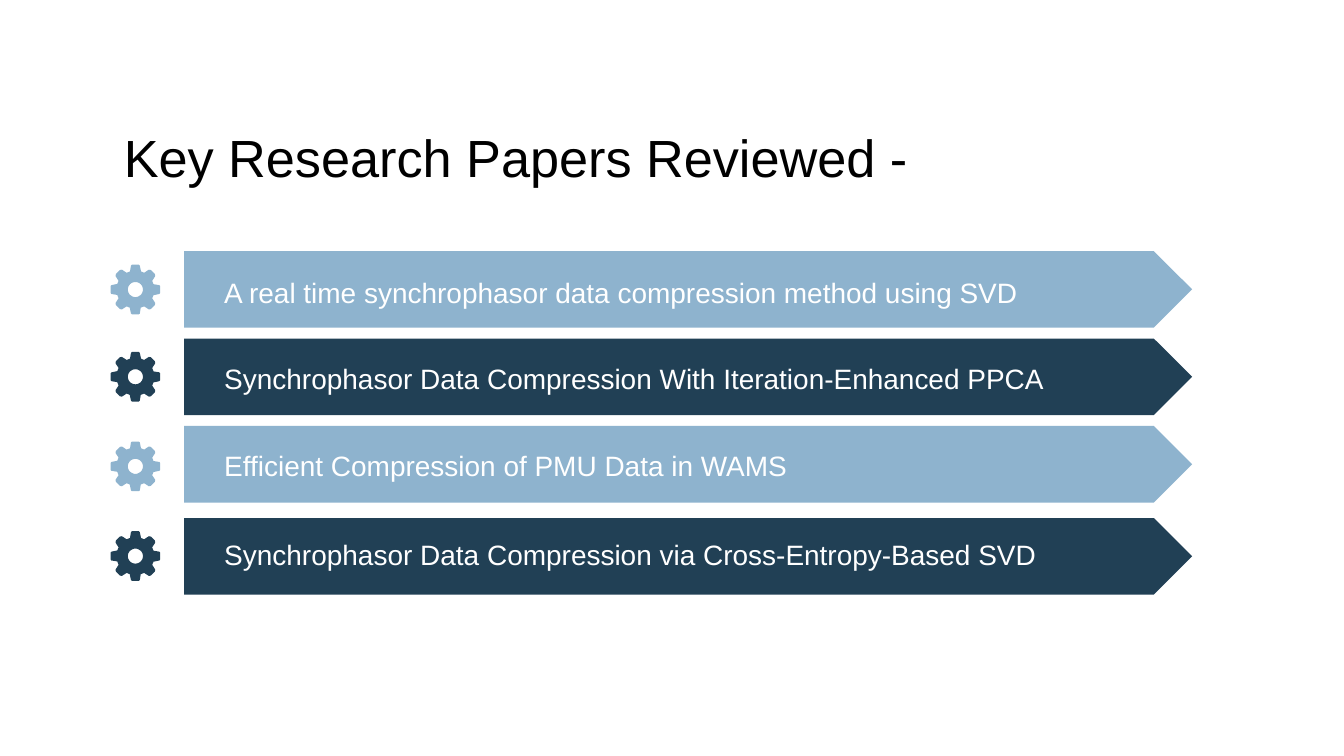
from dataclasses import dataclass
from math import cos, pi, sin

from pptx import Presentation
from pptx.dml.color import RGBColor
from pptx.enum.shapes import MSO_SHAPE
from pptx.enum.text import MSO_ANCHOR, PP_ALIGN
from pptx.util import Inches, Pt

WIDTH = 10  # inches
HEIGHT = WIDTH * 9 / 16


@dataclass(frozen=True)
class Theme:
    light: RGBColor = RGBColor(0x8E, 0xB3, 0xCE)
    dark: RGBColor = RGBColor(0x21, 0x40, 0x55)
    ink: RGBColor = RGBColor(0, 0, 0)
    paper: RGBColor = RGBColor(255, 255, 255)
    font: str = "Arial"
    title_size: int = 28
    paper_size: int = 15


@dataclass(frozen=True)
class Paper:
    """A reviewed paper; lengths are percentages of the slide height."""
    title: str
    bar_top: float
    text_top: float
    gear_middle: float
    color: RGBColor


THEME = Theme()
BAR_TOP, BAR_PITCH, BAR_HEIGHT = 33.21, 11.57, 10.13
PAPERS = [
    Paper("A real time synchrophasor data compression method using SVD",
          BAR_TOP, 35.56, 38.31, THEME.light),
    Paper("Synchrophasor Data Compression With Iteration-Enhanced PPCA",
          BAR_TOP + BAR_PITCH, 46.93, 49.85, THEME.dark),
    Paper("Efficient Compression of PMU Data in WAMS",
          BAR_TOP + 2 * BAR_PITCH, 58.49, 61.7, THEME.light),
    Paper("Synchrophasor Data Compression via Cross-Entropy-Based SVD",
          BAR_TOP + 3 * BAR_PITCH + 0.6, 70.22, 73.57, THEME.dark),
]

# One upright and one diagonal tooth, in thousandths of an inch from the hub.
GEAR_QUARTER = [
    (-65, -125), (-40, -135), (-33, -178), (-25, -185), (25, -185), (33, -178),
    (42, -135), (65, -125), (100, -148), (115, -145), (145, -115), (148, -100),
]
HOLE_RADIUS, HOLE_STEPS = 56, 32


def across(percent: float) -> int:
    return Inches(WIDTH * percent / 100)


def down(percent: float) -> int:
    return Inches(HEIGHT * percent / 100)


def paint(shape, color: RGBColor) -> None:
    shape.shadow.inherit = False
    shape.fill.solid()
    shape.fill.fore_color.rgb = color
    shape.line.fill.background()


def add_text(slide, text: str, *, left: float, top: float, width: float, height: float,
             size: int, color: RGBColor, inset: float = 0.05) -> None:
    box = slide.shapes.add_textbox(across(left), down(top), across(width), down(height))
    frame = box.text_frame
    frame.word_wrap = True
    frame.vertical_anchor = MSO_ANCHOR.TOP
    frame.margin_left = frame.margin_right = Inches(0.1)
    frame.margin_top = frame.margin_bottom = Inches(inset)
    paragraph = frame.paragraphs[0]
    paragraph.alignment = PP_ALIGN.LEFT
    run = paragraph.add_run()
    run.text = text
    run.font.name, run.font.size = THEME.font, Pt(size)
    run.font.color.rgb = color


def add_gear(slide, center_x: float, center_y: float, color: RGBColor) -> None:
    """Draw the toothed rim by quarter turns, then cut the hub hole."""
    quarter, rim = GEAR_QUARTER, []
    for _ in range(4):
        rim += quarter
        quarter = [(-y, x) for x, y in quarter]
    angles = [-2 * pi * step / HOLE_STEPS for step in range(HOLE_STEPS)]
    hole = [(HOLE_RADIUS * cos(a), HOLE_RADIUS * sin(a)) for a in angles]

    hub_x, hub_y = WIDTH * center_x * 10, HEIGHT * center_y * 10
    rim, hole = ([(hub_x + x, hub_y + y) for x, y in ring] for ring in (rim, hole))
    outline = slide.shapes.build_freeform(*rim[0], scale=Inches(1) / 1000)
    outline.add_line_segments(rim[1:], close=True)
    outline.move_to(*hole[0])
    outline.add_line_segments(hole[1:], close=True)
    paint(outline.convert_to_shape(), color)


def add_paper(slide, paper: Paper) -> None:
    bar = slide.shapes.add_shape(MSO_SHAPE.PENTAGON, across(13.7), down(paper.bar_top),
                                 across(75), down(BAR_HEIGHT))
    bar.adjustments[0] = 0.5
    paint(bar, paper.color)
    add_gear(slide, 10.08, paper.gear_middle, paper.color)
    add_text(slide, paper.title, left=15.7, top=paper.text_top, width=70.1, height=6.22,
             size=THEME.paper_size, color=THEME.paper)


def main() -> None:
    presentation = Presentation()
    presentation.slide_width, presentation.slide_height = Inches(WIDTH), Inches(HEIGHT)
    slide = presentation.slides.add_slide(presentation.slide_layouts[6])
    slide.background.fill.solid()
    slide.background.fill.fore_color.rgb = THEME.paper
    for paper in PAPERS:
        add_paper(slide, paper)
    add_text(slide, "Key Research Papers Reviewed -", left=8.23, top=14.76, width=80.2,
             height=14.93, size=THEME.title_size, color=THEME.ink, inset=0.1)
    presentation.save("out.pptx")


if __name__ == "__main__":
    main()
